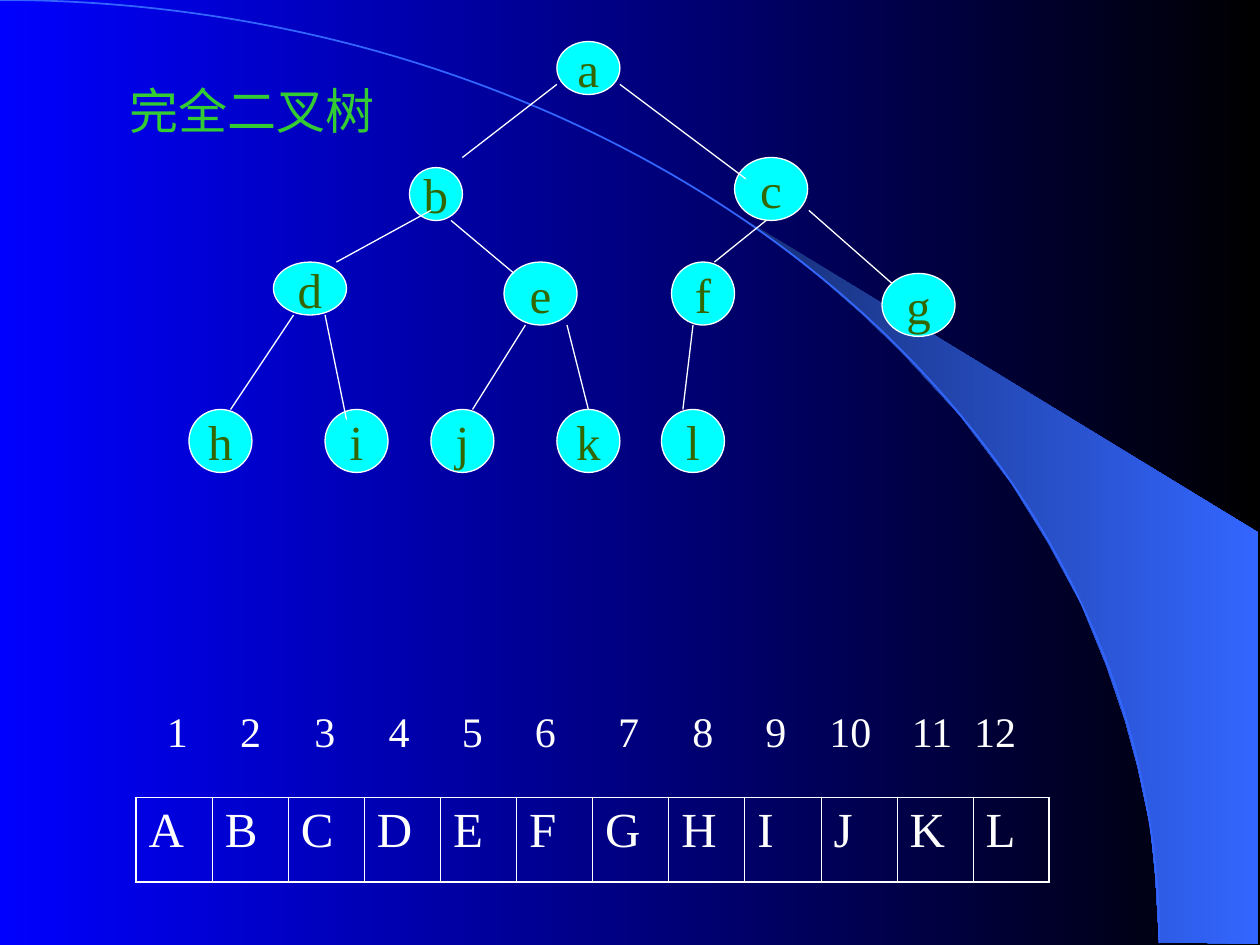
from dataclasses import dataclass
from lxml import etree
from pptx import Presentation
from pptx.dml.color import RGBColor
from pptx.enum.shapes import MSO_CONNECTOR, MSO_SHAPE
from pptx.enum.text import MSO_ANCHOR, MSO_AUTO_SIZE, PP_ALIGN
from pptx.oxml.ns import qn
from pptx.util import Inches, Pt

OVAL, ARC = MSO_SHAPE.OVAL, MSO_SHAPE.ARC
STRAIGHT = MSO_CONNECTOR.STRAIGHT
MIDDLE, CENTER = MSO_ANCHOR.MIDDLE, PP_ALIGN.CENTER
NO_FIT = MSO_AUTO_SIZE.NONE


@dataclass
class Theme:
    white: str = "FFFFFF"
    black: str = "000000"
    blue: str = "0000FF"
    sky: str = "3366FF"
    navy: str = "172F75"
    cyan: str = "00FFFF"
    leaf: str = "336600"
    green: str = "33CC33"
    serif: str = "Times New Roman"
    sans: str = "Arial"
    big: int = 28
    small: int = 24
    thin: float = 0.75


theme = Theme()


def style(para, size, color, face):
    for run in para.runs:
        run.font.size = Pt(size)
        run.font.name = face
        run.font.color.rgb = RGBColor.from_string(color)


def shade(fill, left, right):
    fill.gradient()
    fill.gradient_angle = 0
    for stop, color in zip(fill.gradient_stops, (left, right)):
        stop.color.rgb = RGBColor.from_string(color)


prs = Presentation()
prs.slide_width, prs.slide_height = Inches(10), Inches(7.5)
slide = prs.slides.add_slide(prs.slide_layouts[5])
shapes = slide.shapes
shade(slide.background.fill, theme.blue, theme.black)

title = shapes.title
title.left, title.top = Inches(0.75), Inches(0.58)
title.width, title.height = Inches(2.5), Inches(0.58)
frame = title.text_frame
frame.text = "完全二叉树"
frame.auto_size = NO_FIT
frame.vertical_anchor = MIDDLE
frame.paragraphs[0].alignment = CENTER
style(frame.paragraphs[0], theme.big, theme.green, theme.sans)

edge = [
    (9.2, 7.48), (9.99, 7.49), (9.99, 4.23), (5.89, 1.73), (6.24, 1.99),
    (6.53, 2.22), (6.85, 2.5), (7.16, 2.8), (7.62, 3.3), (8.03, 3.84),
    (8.32, 4.31), (8.58, 4.79), (8.78, 5.28), (8.93, 5.72), (9.03, 6.09),
    (9.13, 6.56), (9.17, 6.96),
]
points = [(Inches(x), Inches(y)) for x, y in edge]
pen = shapes.build_freeform(*points[0])
pen.add_line_segments(points[1:], close=True)
beam = pen.convert_to_shape()
beam.shadow.inherit = False
shade(beam.fill, theme.navy, theme.sky)
beam.line.fill.background()

arc = shapes.add_shape(ARC, Inches(-9.2), 0, Inches(18.4), Inches(14.97))
arc.shadow.inherit = False
arc.fill.background()
arc.line.color.rgb = RGBColor.from_string(theme.sky)
arc.line.width = Pt(1)

letters = "ABCDEFGHIJKL"
last = len(letters) - 1
grid = shapes.add_table(
    1, len(letters), Inches(1.08), Inches(6.33), Inches(7.25), Inches(0.67)
).table
grid.first_row = grid.horz_banding = False
for col, letter in enumerate(letters):
    cell = grid.cell(0, col)
    cell.text = letter
    cell.fill.background()
    para = cell.text_frame.paragraphs[0]
    para.space_before = Pt(7)
    style(para, theme.big, theme.white, theme.serif)
    widths = {
        "a:lnL": 1.08 if col == 0 else 0.45,
        "a:lnR": 1.08 if col == last else 0.45,
        "a:lnT": 1.08,
        "a:lnB": 1.08,
    }
    props = cell._tc.get_or_add_tcPr()
    for spot, (tag, width) in enumerate(widths.items()):
        line = etree.Element(qn(tag), w=str(Pt(width)))
        solid = etree.SubElement(line, qn("a:solidFill"))
        etree.SubElement(solid, qn("a:srgbClr"), val=theme.white)
        props.insert(spot, line)

stops = [0.24, 0.82, 1.41, 2, 2.58, 3.16, 3.82, 4.41, 4.99, 5.58, 6.23, 6.73]
box = shapes.add_textbox(Inches(1.07), Inches(5.55), Inches(7.43), Inches(0.5))
box.text_frame.word_wrap = True
para = box.text_frame.paragraphs[0]
para.text = "".join(f"\t{num}" for num in range(1, len(stops) + 1))
style(para, theme.small, theme.white, theme.serif)
tabs = etree.SubElement(para._p.get_or_add_pPr(), qn("a:tabLst"))
for stop in stops:
    etree.SubElement(tabs, qn("a:tab"), pos=str(Inches(stop)), algn="ctr")

nodes = {
    "a": (4.42, 0.33, 0.5, 0.42),
    "b": (3.25, 1.33, 0.42, 0.42),
    "c": (5.83, 1.25, 0.58, 0.5),
    "d": (2.17, 2.08, 0.58, 0.42),
    "e": (4, 2.08, 0.58, 0.5),
    "f": (5.33, 2.08, 0.5, 0.5),
    "g": (7, 2.17, 0.58, 0.5),
}
for name, left in zip("hijkl", (1.5, 2.58, 3.42, 4.42, 5.25)):
    nodes[name] = (left, 3.25, 0.5, 0.5)
for name, place in nodes.items():
    node = shapes.add_shape(OVAL, *map(Inches, place))
    node.shadow.inherit = False
    node.fill.solid()
    node.fill.fore_color.rgb = RGBColor.from_string(theme.cyan)
    node.line.color.rgb = RGBColor.from_string(theme.white)
    node.line.width = Pt(theme.thin)
    frame = node.text_frame
    frame.text = name
    frame.word_wrap = False
    frame.vertical_anchor = MIDDLE
    para = frame.paragraphs[0]
    para.alignment = CENTER
    para.space_before = Pt(7)
    style(para, theme.big, theme.leaf, theme.serif)

links = [
    (4.42, 0.67, 3.67, 1.25), (4.92, 0.67, 5.92, 1.42),
    (3.42, 1.67, 2.67, 2.08), (6.08, 1.75, 5.67, 2.08),
    (3.58, 1.75, 4.08, 2.17), (6.42, 1.67, 7.08, 2.25),
    (2.33, 2.5, 1.83, 3.25), (2.58, 2.5, 2.75, 3.33),
    (4.17, 2.58, 3.75, 3.25), (4.5, 2.58, 4.67, 3.25),
    (5.5, 2.58, 5.42, 3.25),
]
for ends in links:
    link = shapes.add_connector(STRAIGHT, *map(Inches, ends))
    link.line.color.rgb = RGBColor.from_string(theme.white)
    link.line.width = Pt(theme.thin)
    etree.SubElement(link._element.spPr, qn("a:effectLst"))

prs.save("out.pptx")
